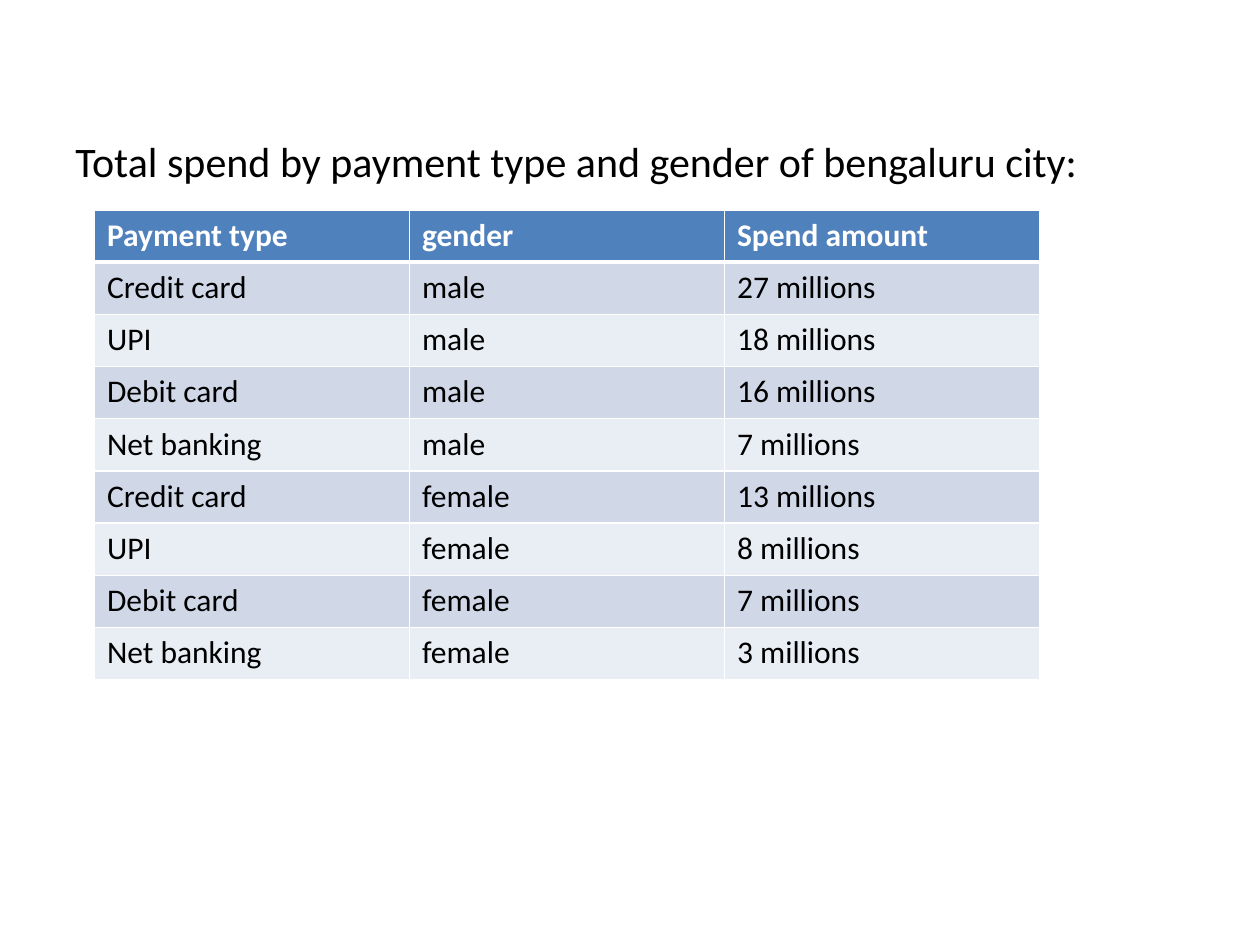
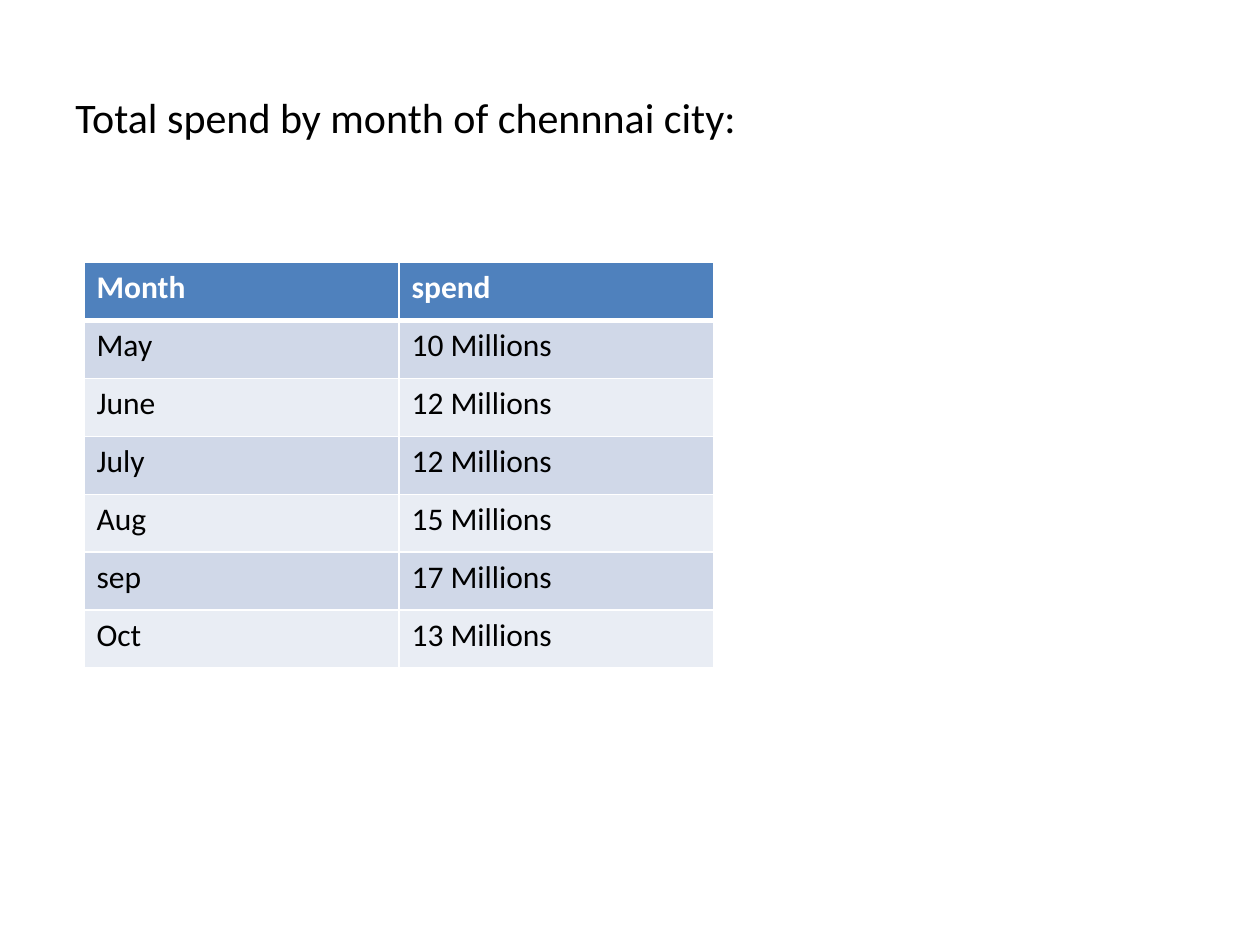
import pptx
import pptx.util
import pptx.dml.color
import pptx.enum.text
import pptx.oxml
import pptx.oxml.ns

Pt = pptx.util.Pt
RGB = pptx.dml.color.RGBColor

BLACK = RGB(0x00, 0x00, 0x00)
WHITE = RGB(0xFF, 0xFF, 0xFF)
BLUE = RGB(0x4F, 0x81, 0xBD)
BANDS = (RGB(0xD0, 0xD8, 0xE8), RGB(0xE9, 0xED, 0xF4))

# Text formats
BASE = {"name": "Calibri", "bold": False}
TITLE = {**BASE, "size": Pt(24)}
BODY = {**BASE, "size": Pt(18)}
HEAD = {**BODY, "bold": True}

COL = 180  # width of every table column


class Deck:
    """Holds the presentation, its style and the current slide."""

    def __init__(self):
        self.prs = pptx.Presentation()
        self.prs.slide_width, self.prs.slide_height = Pt(720), Pt(540)
        self.slide = None

    def page(self):
        self.slide = self.prs.slides.add_slide(self.prs.slide_layouts[6])

    def style(self, para, form, color):
        for key, value in form.items():
            setattr(para.font, key, value)
        para.font.color.rgb = color

    def title(self, text, top, width, height):
        box = self.slide.shapes.add_textbox(Pt(36), Pt(top), Pt(width), Pt(height))
        frame = box.text_frame
        frame.word_wrap = True
        frame.vertical_anchor = pptx.enum.text.MSO_ANCHOR.MIDDLE
        frame.text = text
        self.style(frame.paragraphs[0], TITLE, BLACK)

    def edge(self, cell, side, width):
        line = pptx.oxml.parse_xml(
            f'<a:ln{side} {pptx.oxml.ns.nsdecls("a")} w="{Pt(width)}">'
            f'<a:solidFill><a:srgbClr val="{WHITE}"/></a:solidFill></a:ln{side}>')
        cell._tc.get_or_add_tcPr().append(line)

    def table(self, left, top, height, rows):
        cols = len(rows[0])
        table = self.slide.shapes.add_table(
            len(rows), cols, Pt(left), Pt(top),
            Pt(COL * cols), Pt(height * len(rows))).table
        table.first_row = table.horz_banding = False
        for col in table.columns:
            col.width = Pt(COL)
        for r, row in enumerate(rows):
            table.rows[r].height = Pt(height)
            for c, text in enumerate(row):
                self.cell(table.cell(r, c), r, text)

    def cell(self, cell, row, text):
        # Thick rule between the header and the body
        wide = {0: "B", 1: "T"}.get(row)
        for side in "LRTB":
            self.edge(cell, side, 3 if side == wide else 1)
        cell.fill.solid()
        cell.fill.fore_color.rgb = BANDS[(row - 1) % 2] if row else BLUE
        cell.text = text
        form, color = (BODY, BLACK) if row else (HEAD, WHITE)
        self.style(cell.text_frame.paragraphs[0], form, color)


def main():
    deck = Deck()

    # Spend by payment type and gender
    kinds = ("Credit card", "UPI", "Debit card", "Net banking")
    spend = {"male": (27, 18, 16, 7), "female": (13, 8, 7, 3)}
    rows = [("Payment type", "gender", "Spend amount")]
    for gender, sums in spend.items():
        rows += [(kind, gender, f"{n} millions") for kind, n in zip(kinds, sums)]
    deck.page()
    deck.title("Total spend by payment type and gender of bengaluru city:",
               72, 648, 39.6)
    deck.table(54, 120, 29.84, rows)

    # Spend by month
    months = {"May": 10, "June": 12, "July": 12, "Aug": 15, "sep": 17, "Oct": 13}
    rows = [("Month", "spend")]
    rows += [(month, f"{n} Millions") for month, n in months.items()]
    deck.page()
    deck.title("Total spend by month of chennnai city:", 21.6, 420, 90)
    deck.table(48, 150, 33.12, rows)

    deck.prs.save("out.pptx")


if __name__ == "__main__":
    main()
